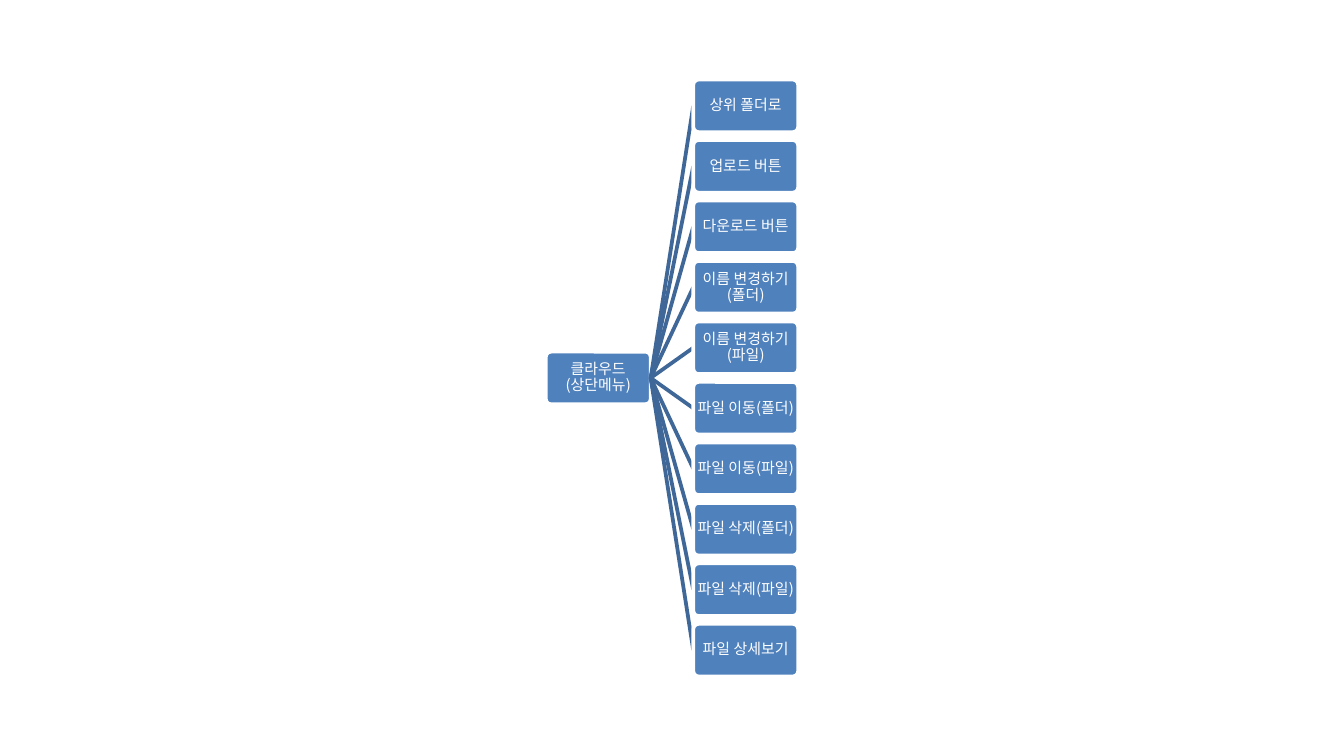
from collections import namedtuple
from dataclasses import dataclass

from lxml.etree import SubElement
from pptx import Presentation
from pptx.dml.color import RGBColor
from pptx.enum.shapes import MSO_CONNECTOR as Connector, MSO_SHAPE as Shape
from pptx.enum.text import MSO_ANCHOR as Anchor, PP_ALIGN as Align
from pptx.oxml.ns import qn
from pptx.util import Pt

Box = namedtuple("Box", "left top width height")


@dataclass(frozen=True)
class Theme:
    """Colours, type and line sizes of the deck."""
    fill: RGBColor = RGBColor(0x4F, 0x81, 0xBD)
    branch: RGBColor = RGBColor(0x3F, 0x67, 0x97)
    white: RGBColor = RGBColor(0xFF, 0xFF, 0xFF)
    font: str = "Noto Sans CJK KR"
    text_size: float = 8
    line_width: float = 2
    inset: float = 1
    corner: float = 0.1


THEME = Theme()
PAGE = Box(0, 0, 720, 405)
NODE_WIDTH, NODE_HEIGHT = 56.2, 28.2
COLUMN_GAP, ROW_GAP = 22.8, 4.2
RIGHT_SIDE, LEFT_SIDE = 3, 1

ROOT = "클라우드(상단메뉴)"
MENU = [
    "상위 폴더로",
    "업로드 버튼",
    "다운로드 버튼",
    "이름 변경하기(폴더)",
    "이름 변경하기(파일)",
    "파일 이동(폴더)",
    "파일 이동(파일)",
    "파일 삭제(폴더)",
    "파일 삭제(파일)",
    "파일 상세보기",
]


def add_node(page, box, text):
    """Add one rounded menu node with its centred label."""
    node = page.shapes.add_shape(Shape.ROUNDED_RECTANGLE, *map(Pt, box))
    node.adjustments[0] = THEME.corner
    node.shadow.inherit = False
    node.fill.solid()
    node.fill.fore_color.rgb = THEME.fill
    node.line.color.rgb = THEME.white
    node.line.width = Pt(THEME.line_width)

    frame = node.text_frame
    frame.word_wrap = True
    frame.vertical_anchor = Anchor.MIDDLE
    frame.margin_left = frame.margin_right = Pt(THEME.inset)
    frame.margin_top = frame.margin_bottom = Pt(THEME.inset)

    para = frame.paragraphs[0]
    para.text = text
    para.alignment = Align.CENTER
    para.line_spacing = 0.9
    para.font.size = Pt(THEME.text_size)
    para.font.color.rgb = THEME.white
    para.font.name = THEME.font
    defaults = para._p.pPr.find(qn("a:defRPr"))
    SubElement(defaults, qn("a:ea")).set("typeface", THEME.font)
    return node


def add_branch(page):
    """Add one plain branch line, ready to be joined to its nodes."""
    branch = page.shapes.add_connector(Connector.STRAIGHT, 0, 0, 0, 0)
    branch.line.color.rgb = THEME.branch
    branch.line.width = Pt(THEME.line_width)
    SubElement(branch._element.spPr, qn("a:effectLst"))
    return branch


def add_menu_tree(page, box, root_text, labels):
    """Centre a root node and its column of children in the box."""
    pitch = NODE_HEIGHT + ROW_GAP
    tree_width = 2 * NODE_WIDTH + COLUMN_GAP
    tree_height = len(labels) * pitch - ROW_GAP
    left = box.left + (box.width - tree_width) / 2
    top = box.top + (box.height - tree_height) / 2
    root_top = box.top + (box.height - NODE_HEIGHT) / 2
    child_left = left + NODE_WIDTH + COLUMN_GAP

    root = add_node(page, Box(left, root_top, NODE_WIDTH, NODE_HEIGHT), root_text)
    for row, label in enumerate(labels):
        branch = add_branch(page)
        child_box = Box(child_left, top + row * pitch, NODE_WIDTH, NODE_HEIGHT)
        child = add_node(page, child_box, label)
        branch.begin_connect(root, RIGHT_SIDE)
        branch.end_connect(child, LEFT_SIDE)


def main():
    """Build and save the deck."""
    deck = Presentation()
    deck.slide_width, deck.slide_height = Pt(PAGE.width), Pt(PAGE.height)
    page = deck.slides.add_slide(deck.slide_layouts[6])
    add_menu_tree(page, PAGE, ROOT, MENU)
    deck.save("out.pptx")


if __name__ == "__main__":
    main()
